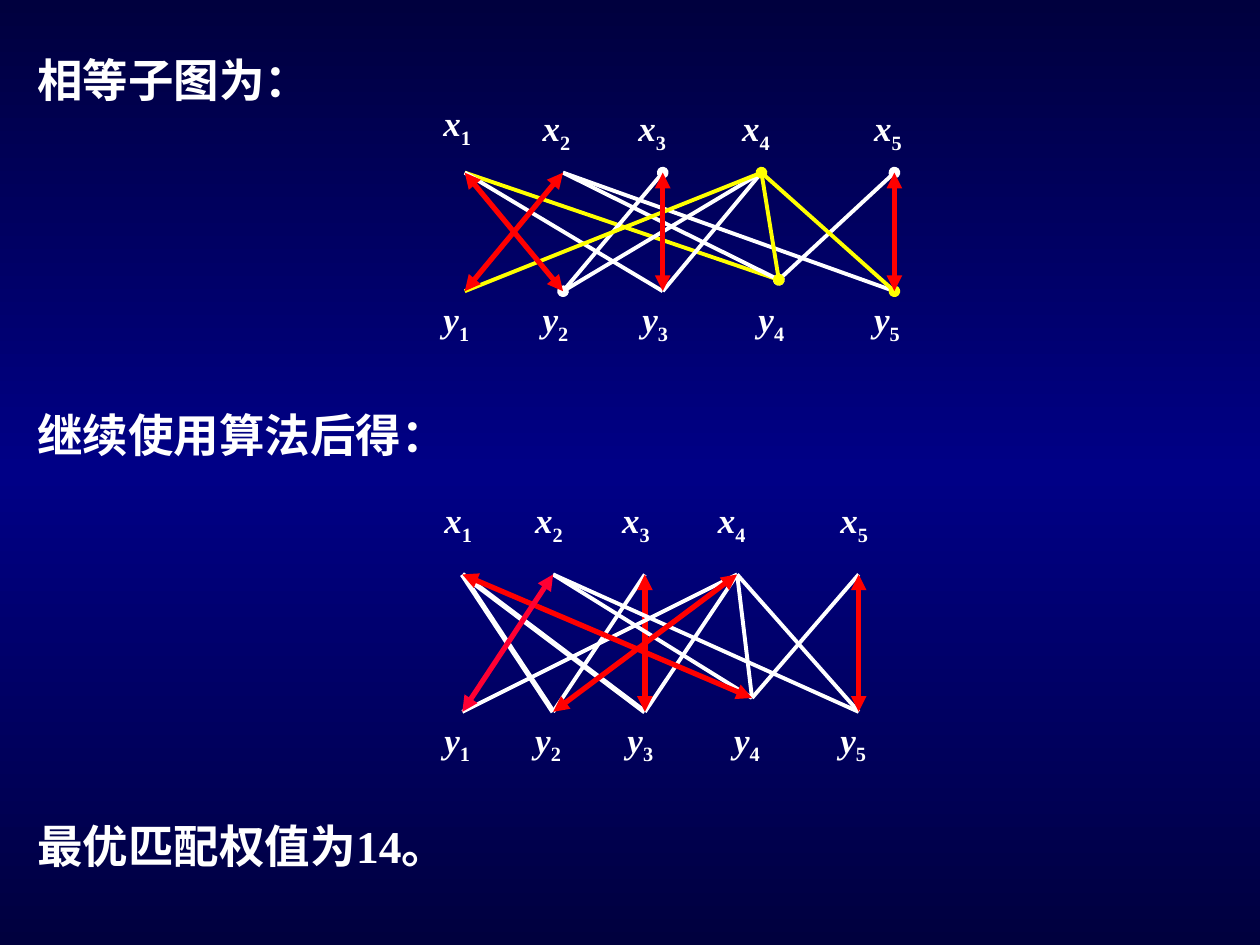
from copy import deepcopy

from pptx import Presentation
from pptx.dml.color import RGBColor
from pptx.enum.shapes import MSO_CONNECTOR
from pptx.enum.text import MSO_ANCHOR, MSO_AUTO_SIZE
from pptx.oxml.ns import qn
from pptx.util import Cm, Pt
from lxml import etree

STRAIGHT = MSO_CONNECTOR.STRAIGHT
MIDDLE = MSO_ANCHOR.MIDDLE
TOP = MSO_ANCHOR.TOP
GROW = MSO_AUTO_SIZE.SHAPE_TO_FIT_TEXT
FONT = "Times New Roman"
WHITE = "FFFFFF"
YELLOW = "FFFF00"
RED = "FF0000"
CRIMSON = "FF0033"

color = RGBColor.from_string


def add_text(page, parts, left, top, width, height, size, anchor):
    box = page.shapes.add_textbox(Cm(left), Cm(top), Cm(width), Cm(height))
    frame = box.text_frame
    frame.word_wrap = True
    frame.auto_size = GROW
    frame.vertical_anchor = anchor
    para = frame.paragraphs[0]
    for part in parts:
        span = para.add_run()
        span.text = part
        span.font.name = FONT
        span.font.size = Pt(size)
        span.font.bold = True
        span.font.color.rgb = color(WHITE)
    return para.runs


def add_edge(page, start, end, hue, width, head, tail):
    edge = page.shapes.add_connector(
        STRAIGHT, Cm(start[0]), Cm(start[1]), Cm(end[0]), Cm(end[1]))
    edge.line.color.rgb = color(hue)
    edge.line.width = Pt(width)
    properties = edge.element.spPr
    outline = properties.find(qn("a:ln"))
    for tag, kind in (("a:headEnd", head), ("a:tailEnd", tail)):
        if kind:
            etree.SubElement(outline, qn(tag)).set("type", kind)
    etree.SubElement(properties, qn("a:effectLst"))


deck = Presentation()
deck.slide_width = Cm(25.4)
deck.slide_height = Cm(19.05)
page = deck.slides.add_slide(deck.slide_layouts[6])

backdrop = page.background.fill
backdrop.gradient()
backdrop.gradient_angle = 90
stop_list = next(page.element.iter(qn("a:gsLst")))
stop_list.append(deepcopy(stop_list[0]))
for stop, position, hue in zip(backdrop.gradient_stops, (0, 0.5, 1),
                               ("00003E", "000086", "00003E")):
    stop.position = position
    stop.color.rgb = color(hue)

for heading, top, width in (("相等子图为：", 0.91, 9),
                            ("继续使用算法后得：", 8.08, 9.78),
                            ("最优匹配权值为14。", 16.36, 9.6)):
    add_text(page, [heading], 0.5, top, width, 1.37, 26, MIDDLE)

STYLES = {
    "plain": (WHITE, 2.25, None, None),
    "thick": (WHITE, 3, None, None),
    "dotted": (WHITE, 2.25, "oval", "oval"),
    "yellow": (YELLOW, 2.25, None, None),
    "yellow end dot": (YELLOW, 2.25, None, "oval"),
    "yellow dotted": (YELLOW, 2.25, "oval", "oval"),
    "match": (RED, 3, "triangle", "triangle"),
    "new match": (CRIMSON, 3, "triangle", "triangle"),
}

equality_graph = {
    "columns": (9.37, 11.35, 13.36, 15.35, 18.03),
    "x_row": 3.48, "y_row": 5.87, "y4": (15.7, 5.64),
    "x_labels": (8.69, 10.69, 12.62, 14.71, 17.37),
    "y_labels": (8.69, 10.69, 12.7, 15.04, 17.37),
    "x_tops": (1.93, 2.03, 2.03, 2.03, 2.03),
    "y_top": 5.87, "label_width": 1.73,
    "edges": (
        ("x1", "y4", "yellow"), ("y2", "x3", "dotted"),
        ("x5", "y4", "dotted"), ("x4", "y3", "plain"),
        ("x4", "y2", "plain"), ("x1", "y3", "plain"),
        ("x2", "y4", "plain"), ("x2", "y5", "plain"),
        ("x4", "y1", "yellow"), ("x4", "y5", "yellow end dot"),
        ("x4", "y4", "yellow dotted"), ("x1", "y2", "match"),
        ("x2", "y1", "match"), ("x3", "y3", "match"),
        ("x5", "y5", "match")),
}
optimal_graph = {
    "columns": (9.32, 11.15, 13, 14.86, 17.31),
    "x_row": 11.58, "y_row": 14.35, "y4": (15.16, 14.07),
    "x_labels": (8.71, 10.54, 12.29, 14.22, 16.69),
    "y_labels": (8.71, 10.54, 12.4, 14.55, 16.69),
    "x_tops": (9.93,) * 5,
    "y_top": 14.35, "label_width": 1.6,
    "edges": (
        ("x1", "y3", "thick"), ("x4", "y3", "plain"),
        ("y2", "x3", "plain"), ("x3", "y3", "match"),
        ("x1", "y2", "thick"), ("x5", "y4", "plain"),
        ("x2", "y4", "plain"), ("x2", "y5", "plain"),
        ("x4", "y1", "plain"), ("x4", "y5", "plain"),
        ("x4", "y4", "plain"), ("x5", "y5", "match"),
        ("x1", "y4", "match"), ("x2", "y1", "new match"),
        ("x4", "y2", "match")),
}

for graph in (equality_graph, optimal_graph):
    nodes = {}
    for number, column in enumerate(graph["columns"], 1):
        nodes[f"x{number}"] = (column, graph["x_row"])
        nodes[f"y{number}"] = (column, graph["y_row"])
    nodes["y4"] = graph["y4"]
    for start, end, style in graph["edges"]:
        add_edge(page, nodes[start], nodes[end], *STYLES[style])

    for letter, lefts, tops in (("x", graph["x_labels"], graph["x_tops"]),
                                ("y", graph["y_labels"], (graph["y_top"],) * 5)):
        for number, (left, top) in enumerate(zip(lefts, tops), 1):
            name, index = add_text(page, [letter, str(number)], left, top,
                                   graph["label_width"], 1.22, 20, TOP)
            name.font.italic = True
            index.font._element.set("baseline", "-25000")

deck.save("out.pptx")
